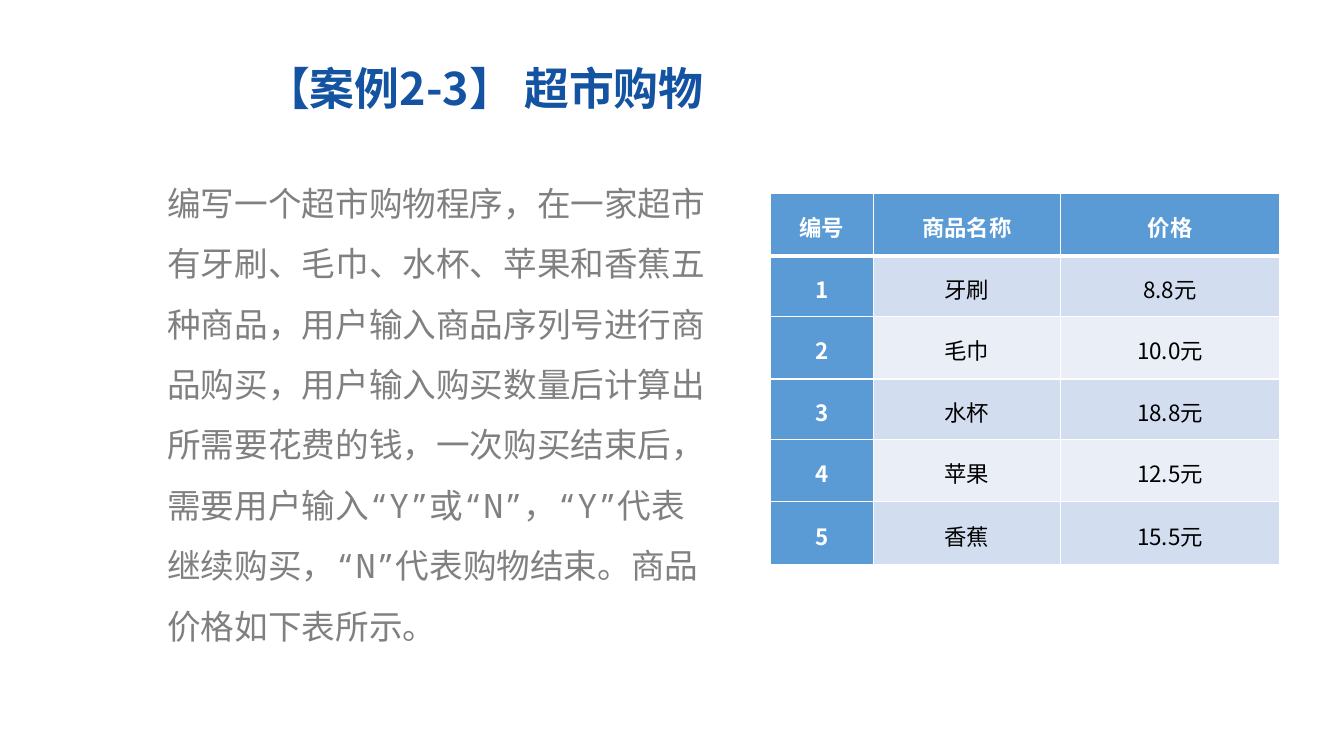
from lxml import etree
from pptx import Presentation
from pptx.dml.color import RGBColor
from pptx.enum.text import MSO_ANCHOR, MSO_AUTO_SIZE, PP_ALIGN
from pptx.oxml.ns import qn
from pptx.util import Inches, Pt

LEFT, CENTER = PP_ALIGN.LEFT, PP_ALIGN.CENTER
TOP, MIDDLE = MSO_ANCHOR.TOP, MSO_ANCHOR.MIDDLE
SANS, MONO = "Noto Sans CJK SC", "Noto Sans Mono"
COLORS = {
    "title": "1353A2", "body": "808080", "header": "5B9BD5",
    "odd": "D2DEEF", "even": "EAEFF7", "white": "FFFFFF", "black": "000000",
}


def write(frame, text, *, size, color, font=SANS, bold=False,
          align=LEFT, anchor=MIDDLE, spacing=1.0):
    frame.word_wrap = True
    frame.vertical_anchor = anchor
    paragraph = frame.paragraphs[0]
    paragraph.alignment = align
    paragraph.line_spacing = spacing
    paragraph.space_before = Pt(0)
    run = paragraph.add_run()
    run.text = text
    run.font.size = Pt(size)
    run.font.bold = bold
    run.font.color.rgb = RGBColor.from_string(COLORS[color])
    run.font.name = font
    east_asian = etree.SubElement(run.font._element, qn("a:ea"))
    east_asian.set("typeface", font)


def add_border(cell, side, width):
    line = etree.SubElement(cell._tc.get_or_add_tcPr(), qn(f"a:ln{side}"), w=str(Pt(width)))
    fill = etree.SubElement(line, qn("a:solidFill"))
    etree.SubElement(fill, qn("a:srgbClr"), val=COLORS["white"])


prs = Presentation()
prs.slide_width, prs.slide_height = Inches(13.33), Inches(7.5)
slide = prs.slides.add_slide(prs.slide_layouts[1])

# Title
title = slide.shapes.title
title.left, title.top = Inches(2.53), Inches(0.55)
title.width, title.height = Inches(7.46), Inches(0.64)
write(title.text_frame, "【案例2-3】 超市购物", size=32, color="title", bold=True)
title.text_frame.auto_size = MSO_AUTO_SIZE.NONE

# Task description
task = slide.placeholders[1]
task.left, task.top = Inches(1.56), Inches(1.56)
task.width, task.height = Inches(5.66), Inches(4.9)
task_properties = task.text_frame.paragraphs[0]._p.get_or_add_pPr()
task_properties.set("marL", "0")
task_properties.set("indent", "0")
etree.SubElement(task_properties, qn("a:buNone"))
write(
    task.text_frame,
    "编写一个超市购物程序，在一家超市有牙刷、毛巾、水杯、苹果和香蕉五种商品，"
    "用户输入商品序列号进行商品购买，用户输入购买数量后计算出所需要花费的钱，"
    "一次购买结束后，需要用户输入“Y”或“N”，“Y”代表继续购买，"
    "“N”代表购物结束。商品价格如下表所示。",
    size=24, color="body", font=MONO, anchor=TOP, spacing=1.5,
)
task.text_frame.auto_size = MSO_AUTO_SIZE.NONE

# Price table
goods = [("牙刷", "8.8元"), ("毛巾", "10.0元"), ("水杯", "18.8元"),
         ("苹果", "12.5元"), ("香蕉", "15.5元")]
rows = [("编号", "商品名称", "价格")]
rows += [(str(number), *item) for number, item in enumerate(goods, 1)]
column_widths = [1.02, 1.86, 2.17]
row_heights = [0.62, 0.6, 0.62, 0.6, 0.62, 0.62]

prices = slide.shapes.add_table(
    len(rows), len(column_widths),
    Inches(7.64), Inches(1.92), Inches(5.04), Inches(3.71)).table
prices.first_col = True
for column, width in zip(prices.columns, column_widths):
    column.width = Inches(width)

for r, (values, height) in enumerate(zip(rows, row_heights)):
    prices.rows[r].height = Inches(height)
    for c, value in enumerate(values):
        cell = prices.cell(r, c)
        heading = r == 0 or c == 0
        cell.margin_left = cell.margin_right = Inches(0.07)
        cell.margin_top = cell.margin_bottom = 0
        cell.vertical_anchor = MIDDLE
        for side in "LRTB":
            thick = (r == 0 and side == "B") or (r == 1 and side == "T")
            add_border(cell, side, 3 if thick else 1)
        cell.fill.solid()
        band = "header" if heading else "odd" if r % 2 else "even"
        cell.fill.fore_color.rgb = RGBColor.from_string(COLORS[band])
        write(cell.text_frame, value, size=16, bold=heading, align=CENTER,
              color="white" if heading else "black", spacing=1.15)

prs.save("out.pptx")
